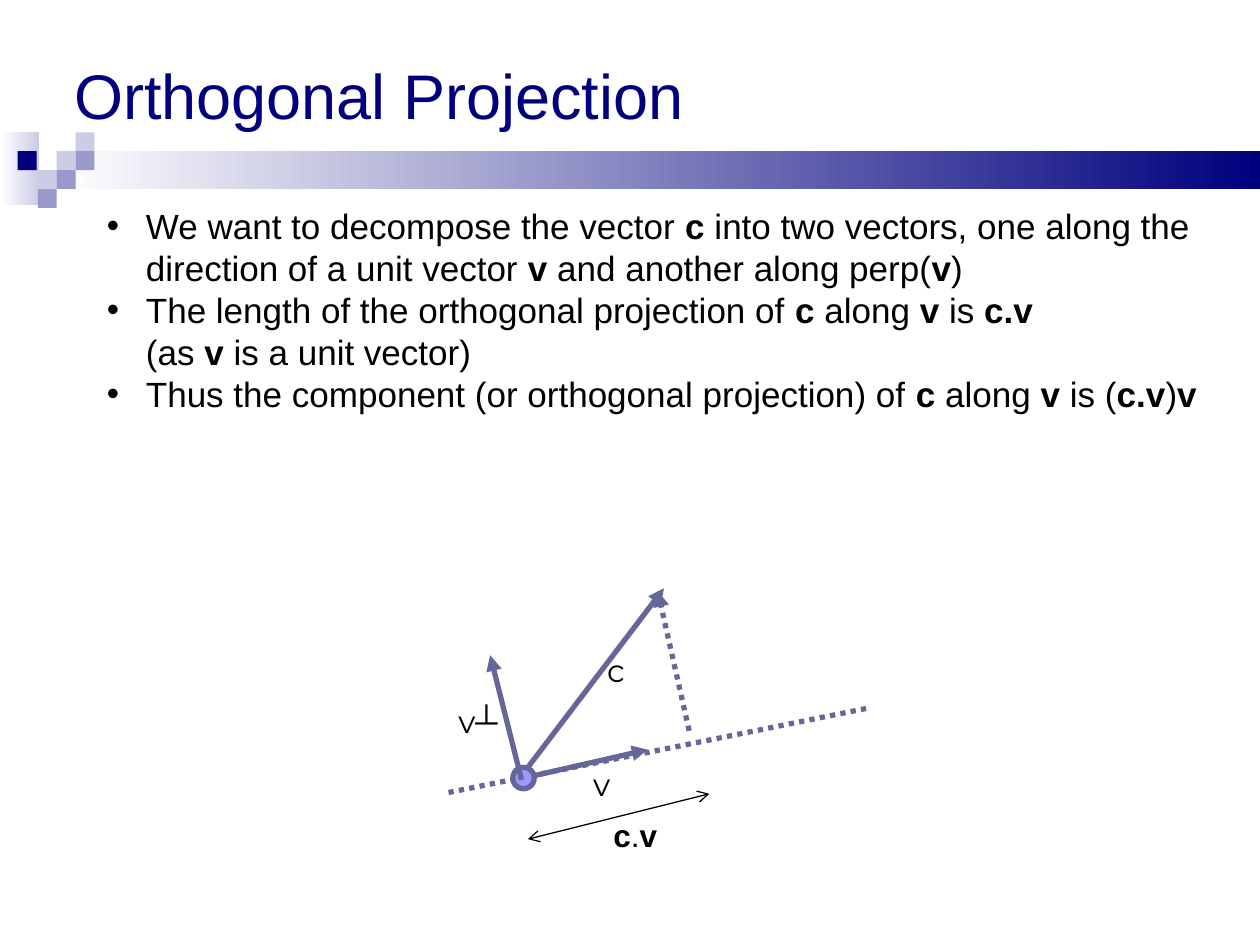
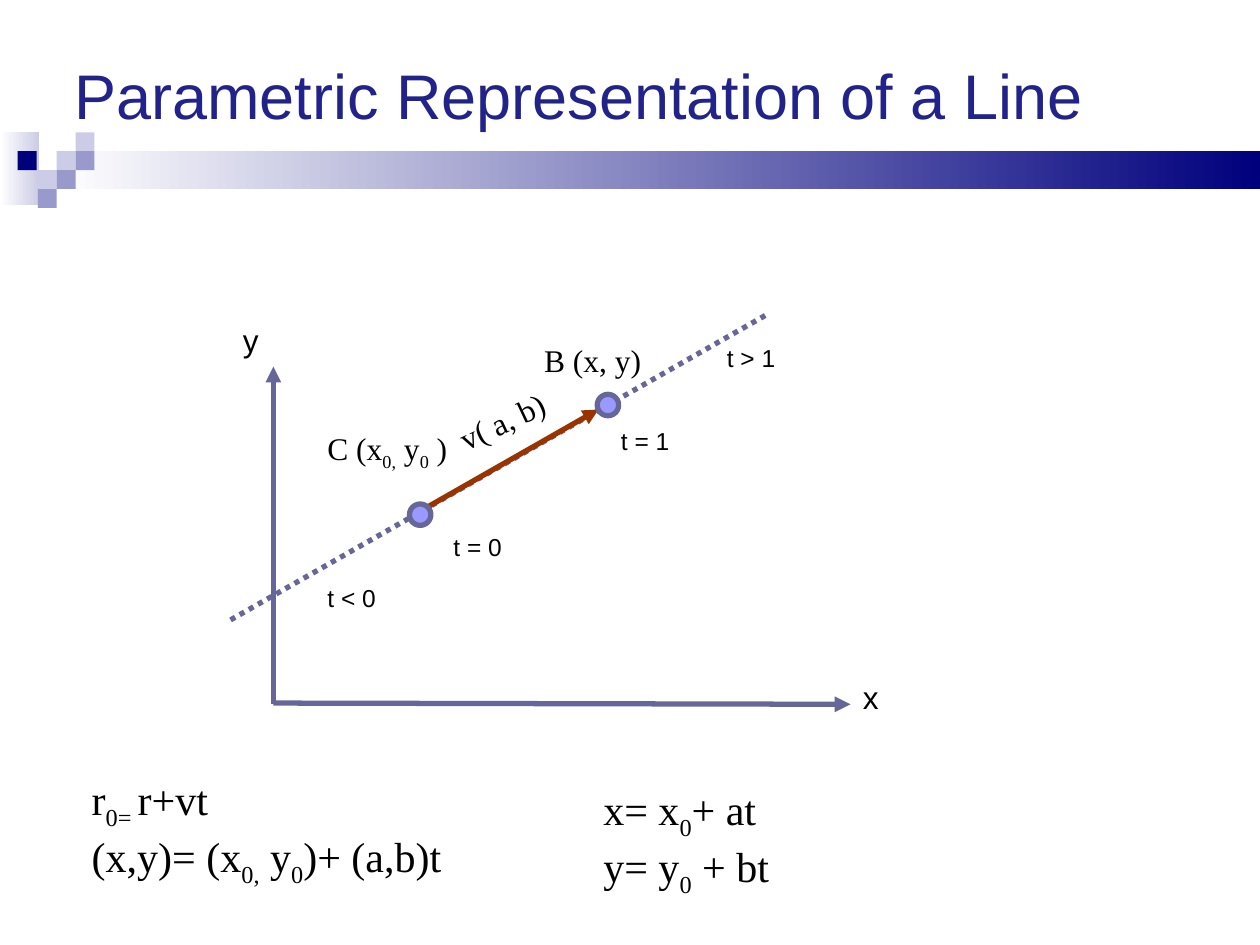
"""Build two slides on orthogonal projection and parametric lines."""
from dataclasses import dataclass
from typing import Callable

from lxml import etree
from pptx import Presentation
from pptx.dml.color import RGBColor
from pptx.enum.dml import MSO_LINE
from pptx.enum.shapes import MSO_CONNECTOR, MSO_SHAPE
from pptx.enum.text import MSO_ANCHOR, MSO_AUTO_SIZE, PP_ALIGN
from pptx.oxml.ns import qn
from pptx.util import Inches, Pt

STRAIGHT = MSO_CONNECTOR.STRAIGHT
RECTANGLE, OVAL = MSO_SHAPE.RECTANGLE, MSO_SHAPE.OVAL
DOTTED = MSO_LINE.ROUND_DOT
LEFT, MIDDLE, NO_FIT = PP_ALIGN.LEFT, MSO_ANCHOR.MIDDLE, MSO_AUTO_SIZE.NONE

NAVY, INDIGO, SLATE, RUST = "00007D", "22228B", "666699", "993300"
PERIWINKLE, LAVENDER, MIST = "9999FF", "9999CC", "CCCCE6"
BLACK, WHITE = "000000", "FFFFFF"
SANS, SERIF, ROUNDED = "Arial", "Times New Roman", "Montserrat"
CELL, CELL_LEFT, CELL_TOP = 0.15, 0.3, 1.05
DOT_SIZE = 0.17
BULLET_INDENT = 0.31


def rgb(value: str) -> RGBColor:
    """Turn a hex string into a colour."""
    return RGBColor.from_string(value)


def embolden(span) -> None:
    """Make a run bold."""
    span.font.bold = True


def lower(span) -> None:
    """Make a run a subscript."""
    span.font._element.set("baseline", "-25000")


def use_sans(span) -> None:
    """Give a run the sans font."""
    span.font.name = SANS


@dataclass
class Stroke:
    """A straight line with optional dots and arrowheads."""
    start: tuple[float, float]
    end: tuple[float, float]
    color: str = SLATE
    width: float = 3
    dotted: bool = False
    head: str = ""
    tail: str = "triangle"

    def draw(self, page) -> None:
        """Draw the line on a page."""
        ends = [Inches(value) for value in (*self.start, *self.end)]
        connector = page.shapes.add_connector(STRAIGHT, *ends)
        line = connector.line
        line.color.rgb = rgb(self.color)
        line.width = Pt(self.width)
        if self.dotted:
            line.dash_style = DOTTED
        outline = line._get_or_add_ln()
        for tag, kind in (("a:headEnd", self.head), ("a:tailEnd", self.tail)):
            if kind:
                etree.SubElement(outline, qn(tag)).set("type", kind)
        etree.SubElement(connector._element.spPr, qn("a:effectLst"))


@dataclass
class Dot:
    """A round point given by its top left corner."""
    left: float
    top: float

    def draw(self, page) -> None:
        """Draw the point on a page."""
        dot = add_block(page, OVAL, (self.left, self.top, DOT_SIZE, DOT_SIZE))
        fill_solid(dot, PERIWINKLE)
        dot.line.color.rgb = rgb(SLATE)
        dot.line.width = Pt(3)


@dataclass
class Label:
    """Text whose parts between bars are marked."""
    place: tuple[float, float, float, float]
    lines: list[str]
    size: float = 18
    font: str = SANS
    mark: Callable = embolden
    rotation: float = 0
    bulleted: bool = False

    def draw(self, page) -> None:
        """Draw the text on a page."""
        box = page.shapes.add_textbox(*map(Inches, self.place))
        box.rotation = self.rotation
        frame = box.text_frame
        frame.word_wrap = True
        if self.bulleted:
            fill_solid(box, WHITE)
        for index, line in enumerate(self.lines):
            para = frame.add_paragraph() if index else frame.paragraphs[0]
            if self.bulleted:
                add_bullet(para)
                para.line_spacing = Pt(24)
            add_spans(para, line, self.mark)
            set_font(para, self.font, self.size, BLACK)


def add_block(page, kind, place: tuple[float, float, float, float]):
    """Add a preset shape without shadow or outline."""
    block = page.shapes.add_shape(kind, *map(Inches, place))
    block.shadow.inherit = False
    block.line.fill.background()
    return block


def fill_solid(shape, color: str) -> None:
    """Fill a shape with one colour."""
    shape.fill.solid()
    shape.fill.fore_color.rgb = rgb(color)


def add_bullet(para) -> None:
    """Give a paragraph a round bullet and hanging indent."""
    settings = para._p.get_or_add_pPr()
    settings.set("marL", str(Inches(BULLET_INDENT)))
    settings.set("indent", str(-Inches(BULLET_INDENT)))
    tint = etree.SubElement(settings, qn("a:buClr"))
    etree.SubElement(tint, qn("a:srgbClr")).set("val", BLACK)
    etree.SubElement(settings, qn("a:buFont")).set("typeface", SANS)
    etree.SubElement(settings, qn("a:buChar")).set("char", "•")


def add_spans(para, text: str, mark: Callable) -> None:
    """Add runs, marking every second part between bars."""
    for index, part in enumerate(text.split("|")):
        for row, piece in enumerate(part.split("\n")):
            if row:
                para.add_line_break()
            if piece:
                span = para.add_run()
                span.text = piece
                if index % 2:
                    mark(span)


def set_font(para, name: str, size: float, color: str) -> None:
    """Set the font of a whole paragraph."""
    para.font.name = name
    para.font.size = Pt(size)
    para.font.color.rgb = rgb(color)


def add_bands(page, layout) -> None:
    """Draw the header bands and move them to the layout."""
    bands = []
    for place, color in (((0, 1.05, 0.31, 0.58), MIST),
                         ((0.45, 1.2, 9.55, 0.3), NAVY)):
        band = add_block(page, RECTANGLE, place)
        band.fill.gradient()
        band.fill.gradient_angle = 0
        for stop, tint in zip(band.fill.gradient_stops, (WHITE, color)):
            stop.color.rgb = rgb(tint)
        bands.append(band)
    cells = [(1, 1, MIST), (2, 0, MIST), (2, 1, LAVENDER), (0, 2, MIST),
             (1, 2, LAVENDER), (0, 3, LAVENDER)]
    squares = [(CELL_LEFT + column * CELL, CELL_TOP + row * CELL, color)
               for column, row, color in cells]
    for left, top, color in squares + [(0.14, 1.2, NAVY)]:
        square = add_block(page, RECTANGLE, (left, top, CELL, CELL))
        fill_solid(square, color)
        bands.append(square)
    for band in bands:
        layout.shapes.element.append(band.element)


def set_title(page, text: str, color: str) -> None:
    """Place and format the title of a page."""
    title = page.shapes.title
    title.left, title.top, title.width, title.height = map(
        Inches, (0.49, 0, 9, 1.5))
    frame = title.text_frame
    frame.text = text
    frame.vertical_anchor = MIDDLE
    frame.auto_size = NO_FIT
    para = frame.paragraphs[0]
    para.alignment = LEFT
    set_font(para, SANS, 36, color)


def time_label(left: float, top: float, text: str) -> Label:
    """Describe a small label for a parameter value."""
    return Label((left, top, 0.65, 0.34), [text], size=14)


PROJECTION = [
    Stroke((3.56, 6.29), (6.89, 5.62), dotted=True, tail=""),
    Stroke((4.18, 6.17), (5.14, 5.95)),
    Dot(4.07, 6.09),
    Stroke((4.19, 6.09), (5.27, 4.67)),
    Label((4.61, 6.02, 0.42, 0.4), ["v"], font=ROUNDED),
    Label((4.72, 5.12, 0.42, 0.4), ["c"], font=ROUNDED),
    Stroke((5.47, 5.8), (5.22, 4.69), dotted=True),
    Stroke((4.14, 6.19), (3.89, 5.2)),
    Label((3.54, 5.52, 0.83, 0.4), ["v|┴|"], font=ROUNDED, mark=use_sans),
    Label((0.75, 1.57, 9.06, 2.37), [
        "We want to decompose the vector |c |into two vectors, one along the "
        "direction of a unit vector |v| and another along perp(|v|)",
        "The length of the orthogonal projection of |c| along |v| is "
        "|c.v \n|(as |v| is a unit vector)",
        "Thus the component (or orthogonal projection) of |c| along |v| is "
        "(|c.v|)|v|",
    ], size=20, bulleted=True),
    Stroke((4.19, 6.66), (5.63, 6.3), BLACK, 0.75, head="arrow", tail="arrow"),
    Label((4.77, 6.43, 0.7, 0.7), ["|c|.|v|"]),
]

PARAMETRIC_LINE = [
    Stroke((2.17, 5.58), (6.75, 5.59)),
    Stroke((2.17, 5.59), (2.17, 2.91)),
    Stroke((1.83, 4.92), (6.08, 2.5), dotted=True, tail=""),
    Stroke((3.33, 4.06), (4.75, 3.25), RUST),
    Dot(3.25, 4),
    Dot(4.74, 3.13),
    Label((1.83, 2.5, 0.42, 0.4), ["y"]),
    Label((6.75, 5.33, 0.42, 0.4), ["x"]),
    time_label(4.83, 3.33, "t = 1"),
    Label((4.22, 2.66, 2.39, 0.4), ["B (x, y)"], font=SERIF),
    Label((2.5, 3.36, 1.94, 0.44), ["C (x|0,| y|0| )"], font=SERIF, mark=lower),
    Label((3.52, 3.11, 1.06, 0.4), ["v( a, b)"], font=SERIF, rotation=334.8),
    time_label(3.5, 4.17, "t = 0"),
    time_label(2.5, 4.58, "t < 0"),
    time_label(5.67, 2.67, "t > 1"),
    Label((0.63, 6.09, 3.67, 1.01), ["r|0= |r+vt", "(x,y)= (x|0,| y|0|)+ (a,b)t"],
          size=24, font=SERIF, mark=lower),
    Label((4.69, 6.17, 2.97, 1.01), ["x= x|0|+ at", "y= y|0| + bt"],
          size=24, font=SERIF, mark=lower),
]


def main() -> None:
    """Build and save the deck."""
    deck = Presentation()
    deck.slide_width, deck.slide_height = Inches(10), Inches(7.5)
    layout = deck.slide_layouts.get_by_name("Title Only")
    contents = [("Orthogonal Projection", NAVY, PROJECTION),
                ("Parametric Representation of a Line", INDIGO, PARAMETRIC_LINE)]
    for index, (title, color, items) in enumerate(contents):
        page = deck.slides.add_slide(layout)
        if index == 0:
            add_bands(page, layout)
        set_title(page, title, color)
        for item in items:
            item.draw(page)
    deck.save("out.pptx")


if __name__ == "__main__":
    main()
